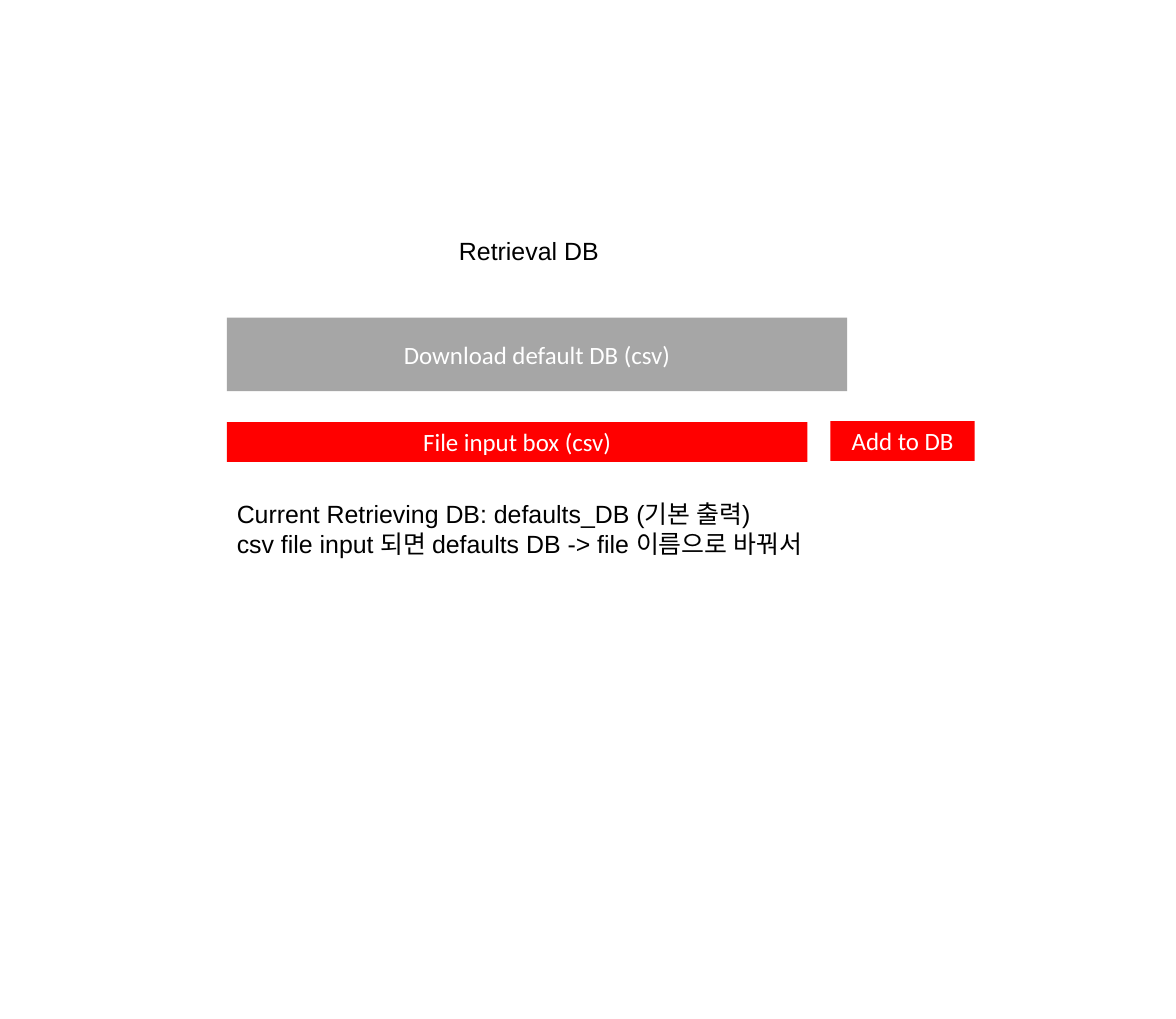
from pptx import Presentation
from pptx.dml.color import RGBColor
from pptx.enum.shapes import MSO_SHAPE
from pptx.enum.text import MSO_ANCHOR, MSO_AUTO_SIZE, PP_ALIGN
from pptx.util import Cm, Inches, Pt

RECT = MSO_SHAPE.RECTANGLE
TOP, MIDDLE = MSO_ANCHOR.TOP, MSO_ANCHOR.MIDDLE
LEFT, CENTER = PP_ALIGN.LEFT, PP_ALIGN.CENTER
NO_FIT = MSO_AUTO_SIZE.NONE
GREY, RED, WHITE, BLACK = "A6A6A6", "FF0000", "FFFFFF", "000000"
EDGE = 2.28
WIDE = 6.23


def color(target, code):
    """Give a font or fill colour its hex value."""
    target.rgb = RGBColor.from_string(code)


def write(shape, text, face, ink, align, anchor):
    """Put styled text into a shape."""
    frame = shape.text_frame
    frame.text = text
    frame.word_wrap = True
    frame.auto_size = NO_FIT
    frame.vertical_anchor = anchor
    for para in frame.paragraphs:
        para.alignment = align
        para.font.name = face
        para.font.size = Pt(18)
        color(para.font.color, ink)


def title(slide, text, x, y, w, h):
    """Place the slide title."""
    shape = slide.shapes.title
    shape.left, shape.top = Inches(x), Inches(y)
    shape.width, shape.height = Inches(w), Inches(h)
    write(shape, text, "Arial", BLACK, LEFT, TOP)


def button(slide, text, fill, x, y, w, h):
    """Draw a filled box with a centred label."""
    shape = slide.shapes.add_shape(RECT, Inches(x), Inches(y), Inches(w), Inches(h))
    shape.shadow.inherit = False
    shape.fill.solid()
    color(shape.fill.fore_color, fill)
    shape.line.fill.background()
    write(shape, text, "Calibri", WHITE, CENTER, MIDDLE)


def note(slide, text, x, y, w, h):
    """Add a plain text box."""
    shape = slide.shapes.add_textbox(Inches(x), Inches(y), Inches(w), Inches(h))
    write(shape, text, "Arial", BLACK, LEFT, TOP)


def main():
    """Build the retrieval database slide."""
    deck = Presentation()
    deck.slide_width, deck.slide_height = Cm(30), Cm(26)
    slide = deck.slides.add_slide(deck.slide_layouts[5])
    title(slide, "Retrieval DB", 4.51, 2.32, 3.33, 0.4)
    button(slide, "Download default DB (csv)", GREY, EDGE, 3.19, WIDE, 0.74)
    button(slide, "File input box (csv)", RED, EDGE, 4.24, 5.83, 0.4)
    button(slide, "Add to DB", RED, 8.34, 4.23, 1.45, 0.4)
    note(
        slide,
        "Current Retrieving DB: defaults_DB (기본 출력)\v"
        "csv file input 되면 defaults DB -> file 이름으로 바꿔서",
        EDGE, 4.96, WIDE, 0.71,
    )
    deck.save("out.pptx")


main()
